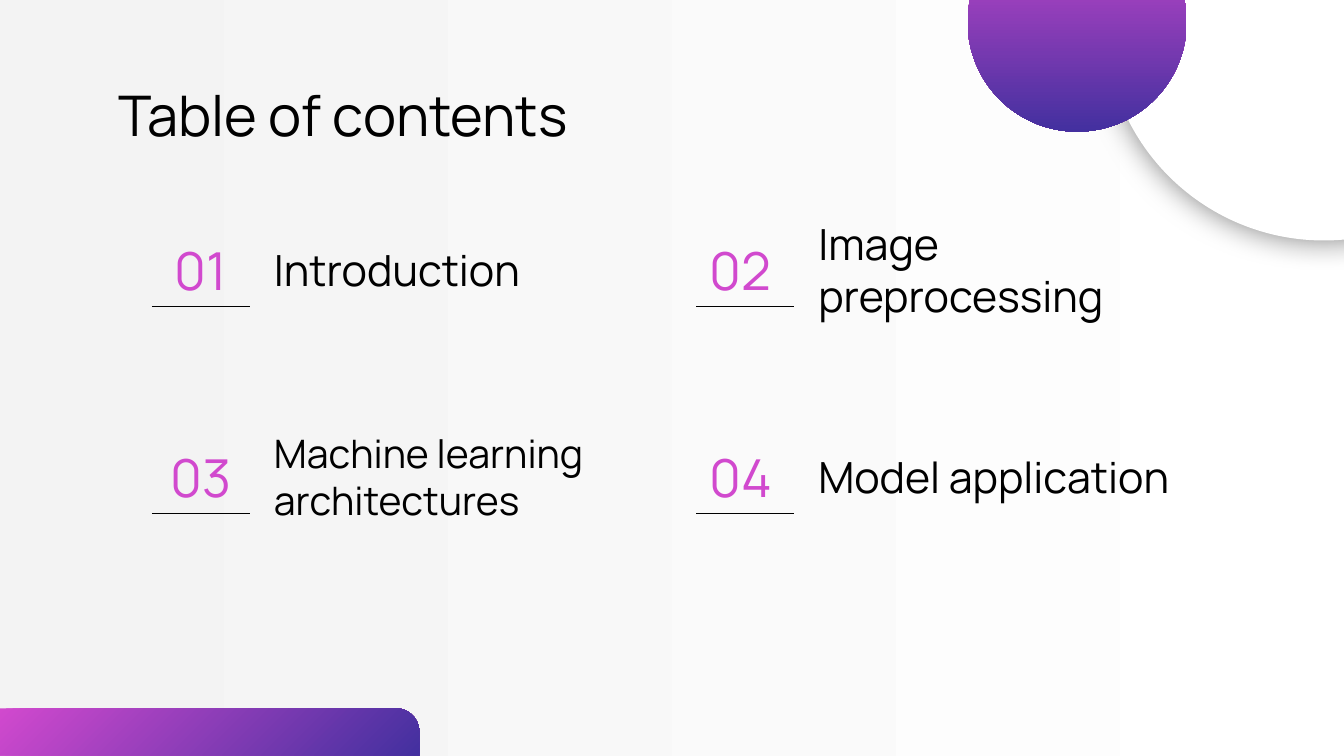
"""Build a table of contents slide with four numbered sections."""
from dataclasses import dataclass

from lxml import etree
from pptx import Presentation
from pptx.dml import color as dml
from pptx.enum import shapes, text
from pptx.oxml import ns
from pptx.util import Inches, Pt

COLORS = {
    "black": "000000",
    "white": "FFFFFF",
    "gray": "F3F3F3",
    "pink": "D149CE",
    "indigo": "43309F",
}
FONT = "Manrope"
LEFT, TOP = 1.13, 1.81
COLUMN_STEP, ROW_STEP = 4.05, 1.54
NUMBER_WIDTH, ENTRY_HEIGHT = 0.73, 0.39
LABEL_OFFSET, RULE_OFFSET = 0.81, 0.47


@dataclass(frozen=True)
class Section:
    label: str
    size: int = 23
    width: float = 2.89


SECTIONS = [
    Section("Introduction"),
    Section("Image preprocessing"),
    Section("Machine learning architectures", size=21),
    Section("Model application", width=3.57),
]


def rgb(name: str) -> dml.RGBColor:
    return dml.RGBColor.from_string(COLORS[name])


def set_gradient(fill, start: str, end: str, angle: float) -> None:
    fill.gradient()
    fill.gradient_angle = angle
    for stop, name, position in zip(fill.gradient_stops, (start, end), (0, 1)):
        stop.color.rgb = rgb(name)
        stop.position = position


def format_text(shape, words: str, size: int, color: str = "black",
                align=text.PP_ALIGN.LEFT) -> None:
    frame = shape.text_frame
    frame.text = words
    frame.word_wrap = True
    frame.auto_size = text.MSO_AUTO_SIZE.NONE
    frame.vertical_anchor = text.MSO_ANCHOR.MIDDLE
    frame.margin_left = frame.margin_right = Inches(0.1)
    frame.margin_top = frame.margin_bottom = Inches(0.1)
    paragraph = frame.paragraphs[0]
    paragraph.alignment = align
    paragraph.line_spacing = 1.0
    font = paragraph.runs[0].font
    font.name, font.size = FONT, Pt(size)
    font.color.rgb = rgb(color)


def add_text(slide, left: float, top: float, width: float, *args, **options) -> None:
    box = slide.shapes.add_textbox(
        Inches(left), Inches(top), Inches(width), Inches(ENTRY_HEIGHT))
    format_text(box, *args, **options)


def add_rule(slide, left: float, top: float) -> None:
    line = slide.shapes.add_connector(
        shapes.MSO_CONNECTOR.STRAIGHT, Inches(left), Inches(top),
        Inches(left + NUMBER_WIDTH), Inches(top))
    line.line.color.rgb = rgb("black")
    line.line.width = Pt(0.75)
    etree.SubElement(line._element.spPr, ns.qn("a:effectLst"))


def add_section(slide, index: int, section: Section) -> None:
    row, column = divmod(index, 2)
    left, top = LEFT + column * COLUMN_STEP, TOP + row * ROW_STEP
    align = text.PP_ALIGN.LEFT if column else text.PP_ALIGN.CENTER
    add_text(slide, left, top, NUMBER_WIDTH, f"{index + 1:02}", 28, "pink", align=align)
    add_text(slide, left + LABEL_OFFSET, top, section.width, section.label, section.size)
    add_rule(slide, left, top + RULE_OFFSET)


def add_decoration(slide, kind, left: float, top: float, width: float, height: float):
    shape = slide.shapes.add_shape(
        kind, Inches(left), Inches(top), Inches(width), Inches(height))
    shape.shadow.inherit = False
    shape.line.fill.background()
    return shape


def add_glow(shape, blur: float, opacity: int) -> None:
    effects = shape._element.spPr.find(ns.qn("a:effectLst"))
    shadow = etree.SubElement(effects, ns.qn("a:outerShdw"), blurRad=str(Pt(blur)),
                              dist="0", dir="0", algn="ctr", rotWithShape="0")
    color = etree.SubElement(shadow, ns.qn("a:srgbClr"), val=COLORS["black"])
    etree.SubElement(color, ns.qn("a:alpha"), val=str(opacity * 1000))


def main() -> None:
    presentation = Presentation()
    presentation.slide_width = Inches(10)
    presentation.slide_height = Inches(10 * 9 / 16)
    slide = presentation.slides.add_slide(presentation.slide_layouts[5])
    set_gradient(slide.background.fill, "white", "gray", 180)

    title = slide.shapes.title
    title.left, title.top = Inches(0.78), Inches(0.59)
    title.width, title.height = Inches(8.44), Inches(0.52)
    format_text(title, "Table of contents", 30)

    corner = add_decoration(
        slide, shapes.MSO_SHAPE.ROUND_1_RECTANGLE, 0, 5.27, 3.12, 0.35)
    corner.adjustments[0] = 0.5
    set_gradient(corner.fill, "pink", "indigo", 315)

    for index, section in enumerate(SECTIONS):
        add_section(slide, index, section)

    white_circle = add_decoration(slide, shapes.MSO_SHAPE.OVAL, 8.22, -1.47, 3.26, 3.26)
    white_circle.fill.solid()
    white_circle.fill.fore_color.rgb = rgb("white")
    add_glow(white_circle, 16.9, 50)
    purple_circle = add_decoration(slide, shapes.MSO_SHAPE.OVAL, 7.2, -0.65, 1.63, 1.63)
    set_gradient(purple_circle.fill, "pink", "indigo", 270)

    presentation.save("out.pptx")


if __name__ == "__main__":
    main()
